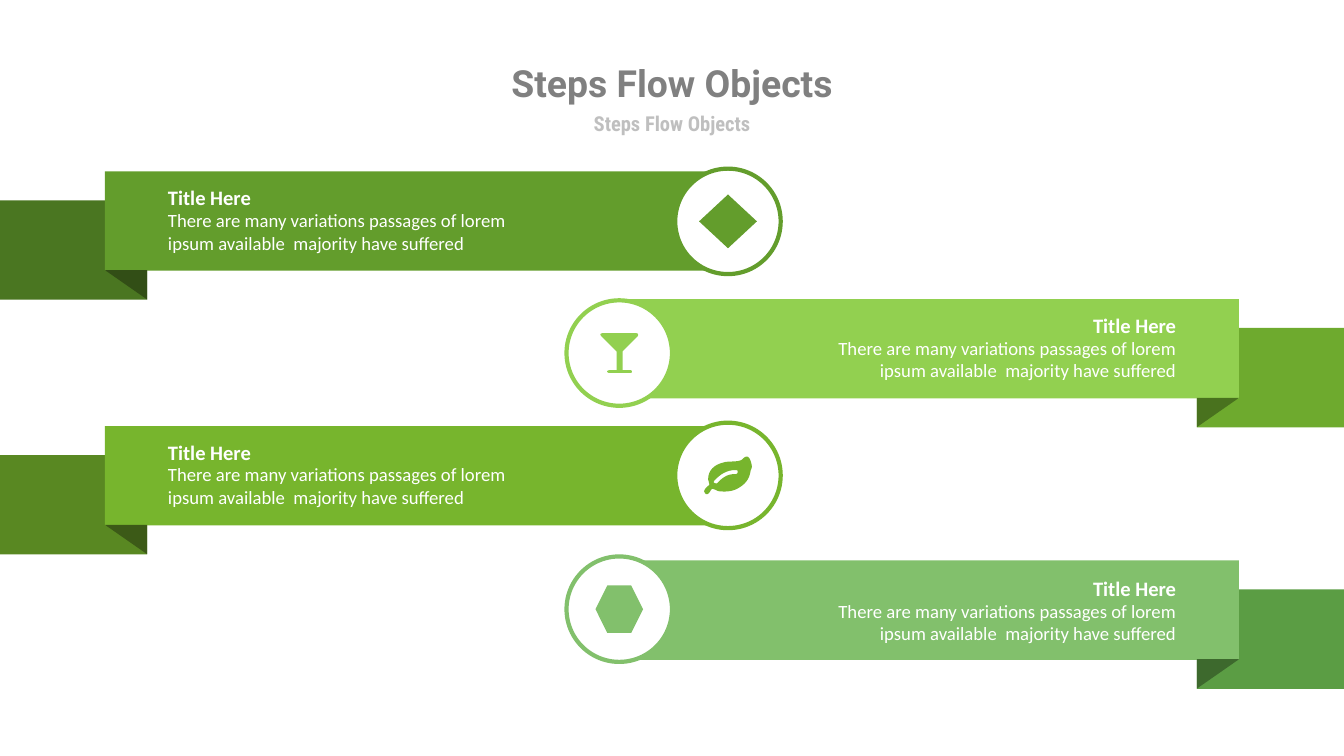
from pptx import Presentation
from pptx.dml.color import RGBColor
from pptx.enum.shapes import MSO_SHAPE
from pptx.enum.text import MSO_ANCHOR, MSO_AUTO_SIZE, PP_ALIGN
from pptx.util import Pt

RECTANGLE, TRIANGLE = MSO_SHAPE.RECTANGLE, MSO_SHAPE.RIGHT_TRIANGLE
OVAL, DIAMOND, HEXAGON = MSO_SHAPE.OVAL, MSO_SHAPE.DIAMOND, MSO_SHAPE.HEXAGON
LEFT, CENTER, RIGHT = PP_ALIGN.LEFT, PP_ALIGN.CENTER, PP_ALIGN.RIGHT
TOP, MIDDLE = MSO_ANCHOR.TOP, MSO_ANCHOR.MIDDLE
FIT_SHAPE, FIT_NONE = MSO_AUTO_SIZE.SHAPE_TO_FIT_TEXT, MSO_AUTO_SIZE.NONE

# Content
HEADING = "Steps Flow Objects"
SUBHEADING = "Steps Flow Objects"
STEP_TITLE = "Title Here"
STEP_BODY = ("There are many variations passages of lorem "
             "ipsum available  majority have suffered")

# Icon outlines: a start point, then segments of one point (line) or three (curve)
LEAF = [
    ((69, 22), [
        [(67, 35), (60, 42), (49, 48)], [(43, 51), (36, 52), (31, 52)],
        [(28, 52), (23, 52), (20, 51)], [(18, 50), (14, 48), (12, 48)],
        [(10, 48), (8, 56), (4, 56)], [(2, 56), (1, 54), (0, 52)],
        [(0, 47), (8, 43), (8, 41)], [(8, 41), (7, 39), (7, 38)],
        [(7, 37), (6, 36), (6, 33)], [(6, 21), (15, 12), (28, 9)],
        [(35, 6), (52, 9), (57, 4)], [(60, 1), (61, 0), (64, 0)],
        [(68, 0), (71, 11), (71, 15)], [(71, 18), (69, 20), (69, 22)]]),
    ((47, 20), [
        [(34, 20), (24, 26), (15, 36)], [(15, 37), (14, 37), (14, 38)],
        [(14, 39), (17, 40), (19, 40)], [(21, 38), (23, 36), (24, 35)],
        [(32, 28), (38, 26), (47, 26)], [(49, 26), (50, 25), (50, 22)],
        [(50, 21), (49, 20), (47, 20)]]),
]
GLASS = [
    ((55, 5), [
        [(33, 27)], [(33, 55)], [(45, 55)],
        [(46, 55), (47, 56), (47, 57)], [(47, 58), (46, 59), (45, 59)],
        [(13, 59)],
        [(12, 59), (10, 58), (10, 57)], [(10, 56), (12, 55), (13, 55)],
        [(24, 55)], [(24, 27)], [(2, 5)],
        [(1, 4), (0, 3), (0, 2)], [(0, 0), (2, 0), (4, 0)],
        [(53, 0)],
        [(54, 0), (56, 0), (56, 2)], [(56, 3), (56, 4), (55, 5)]]),
]

# Each step: side, band top, text top, circle top, colours, icon, icon size
STEPS = [
    dict(side="left", top=183.6, text=198.7, circle=180.7, band="639D2C",
         tail="4A7621", fold="324E16", icon=DIAMOND, size=(62, 57.6)),
    dict(side="right", top=320.4, text=335.5, circle=321.8, band="92D050",
         tail="6EAA2E", fold="49721E", icon=GLASS, size=(56, 59)),
    dict(side="left", top=456.5, text=470.9, circle=452.9, band="77B52D",
         tail="598822", fold="3C5A17", icon=LEAF, size=(71, 56)),
    dict(side="right", top=600.5, text=617, circle=596.2, band="82C06C",
         tail="5B9D44", fold="3D692D", icon=HEXAGON, size=(51, 51)),
]

THEME = dict(
    heading=dict(font="Roboto", size=40, color="808080", bold=True),
    subheading=dict(font="Roboto Condensed", size=22, color="BFBFBF", bold=True),
    step_title=dict(font="Calibri", size=22, color="FFFFFF", bold=True),
    step_body=dict(font="Calibri", size=20, color="FFFFFF", bold=False),
    circle="FFFFFF",
)

# Layout in points
PAGE_W, PAGE_H = 1440, 810
TAIL_W, BAND_X, BAND_W, BAND_H = 157.7, 112.5, 668, 106.5
FOLD_W, FOLD_H, TAIL_DROP = TAIL_W - BAND_X, 31.5, 31
TEXT_X, TEXT_W, BODY_DROP = 180, 407.5, 25.2
CIRCLE_X, CIRCLE_SIZE, RING = dict(left=723.5, right=607), 113, 4.5
ICON_UNIT, CURVE_PARTS = 0.72, 8

deck = Presentation()
deck.slide_width, deck.slide_height = Pt(PAGE_W), Pt(PAGE_H)
page = deck.slides.add_slide(deck.slide_layouts[6])


def paint(shape, fill, line=None):
    shape.shadow.inherit = False
    shape.fill.solid()
    shape.fill.fore_color.rgb = RGBColor.from_string(fill)
    if line:
        shape.line.color.rgb = RGBColor.from_string(line)
        shape.line.width = Pt(RING)
    else:
        shape.line.fill.background()
    return shape


def add_shape(kind, x, y, width, height, fill, line=None):
    shape = page.shapes.add_shape(kind, Pt(x), Pt(y), Pt(width), Pt(height))
    return paint(shape, fill, line)


def add_text(text, x, y, width, height, *, style, align=LEFT, anchor=TOP,
             wrap=False, fit=FIT_SHAPE):
    box = page.shapes.add_textbox(Pt(x), Pt(y), Pt(width), Pt(height))
    frame = box.text_frame
    frame.margin_left = frame.margin_right = 0
    frame.margin_top = frame.margin_bottom = 0
    frame.word_wrap, frame.auto_size, frame.vertical_anchor = wrap, fit, anchor
    para = frame.paragraphs[0]
    para.alignment = align
    span = para.add_run()
    span.text = text
    span.font.name, span.font.size = style["font"], Pt(style["size"])
    span.font.bold = style["bold"]
    span.font.color.rgb = RGBColor.from_string(style["color"])


def flatten(start, segments):
    """Turn lines and Bezier curves into a list of points."""
    points = [start]
    for segment in segments:
        if len(segment) == 1:
            points += segment
            continue
        corners = [points[-1], *segment]
        for part in range(1, CURVE_PARTS + 1):
            t = part / CURVE_PARTS
            weights = ((1 - t) ** 3, 3 * t * (1 - t) ** 2, 3 * t * t * (1 - t), t ** 3)
            points.append(tuple(sum(w * c[axis] for w, c in zip(weights, corners))
                                for axis in (0, 1)))
    return points


def add_outline(contours, x, y, fill):
    builder = None
    for contour in contours:
        points = [(Pt(x + px * ICON_UNIT), Pt(y + py * ICON_UNIT))
                  for px, py in flatten(*contour)]
        if builder is None:
            builder = page.shapes.build_freeform(*points[0])
        else:
            builder.move_to(*points[0])
        builder.add_line_segments(points[1:], close=True)
    paint(builder.convert_to_shape(), fill)


def add_step(step):
    top, band = step["top"], step["band"]
    mirrored = step["side"] == "right"
    align = RIGHT if mirrored else LEFT

    def place(x, width):
        return PAGE_W - x - width if mirrored else x

    # Ribbon
    add_shape(RECTANGLE, place(0, TAIL_W), top + TAIL_DROP, TAIL_W, BAND_H, step["tail"])
    add_shape(RECTANGLE, place(BAND_X, BAND_W), top, BAND_W, BAND_H, band)
    fold = add_shape(TRIANGLE, place(BAND_X, FOLD_W), top + BAND_H - 0.7,
                     FOLD_W, FOLD_H, step["fold"])
    fold.rotation = 180
    if mirrored:
        fold.element.spPr.xfrm.set("flipH", "1")

    # Text
    add_text(STEP_BODY, place(TEXT_X, TEXT_W), step["text"] + BODY_DROP, TEXT_W, 48.2,
             style=THEME["step_body"], align=align, wrap=True)
    add_text(STEP_TITLE, place(TEXT_X, 89.3), step["text"], 89.3, 26.6,
             style=THEME["step_title"], align=align)

    # Circle with a centred icon
    circle_x = CIRCLE_X[step["side"]]
    add_shape(OVAL, circle_x, step["circle"], CIRCLE_SIZE, CIRCLE_SIZE,
              THEME["circle"], band)
    icon, (width, height) = step["icon"], step["size"]
    outlined = isinstance(icon, list)
    if outlined:
        width, height = width * ICON_UNIT, height * ICON_UNIT
    x = circle_x + (CIRCLE_SIZE - width) / 2
    y = step["circle"] + (CIRCLE_SIZE - height) / 2
    if outlined:
        add_outline(icon, x, y, band)
    else:
        add_shape(icon, x, y, width, height, band)


# Headings
add_text(HEADING, 276, 61.2, 888, 55.4, style=THEME["heading"],
         align=CENTER, anchor=MIDDLE, fit=FIT_NONE)
add_text(SUBHEADING, 396, 116.6, 648, 31.7, style=THEME["subheading"],
         align=CENTER, anchor=MIDDLE, fit=FIT_NONE)

# Steps
for item in STEPS:
    add_step(item)

deck.save("out.pptx")
